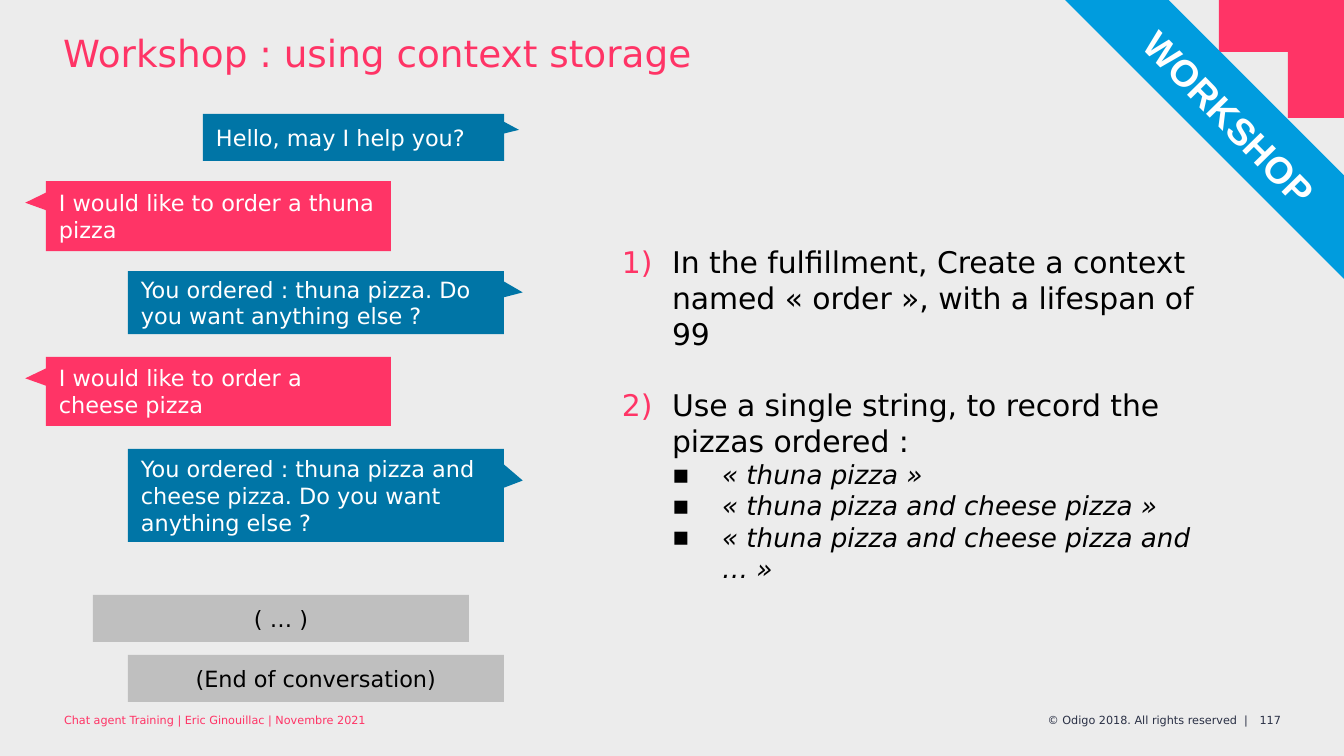
from lxml import etree
from pptx import Presentation
from pptx.dml.color import RGBColor
from pptx.enum.shapes import MSO_SHAPE
from pptx.enum.text import MSO_ANCHOR, MSO_AUTO_SIZE, PP_ALIGN
from pptx.oxml.ns import qn
from pptx.util import Pt

PINK = RGBColor(0xFF, 0x34, 0x66)
BLUE = RGBColor(0x00, 0x75, 0xA6)
SKY = RGBColor(0x00, 0x9C, 0xDE)
GREY = RGBColor(0xBF, 0xBF, 0xBF)
NAVY = RGBColor(0x2A, 0x30, 0x45)
PALE = RGBColor(0xEC, 0xEC, 0xEC)
BLACK = RGBColor(0, 0, 0)
WHITE = RGBColor(255, 255, 255)

RECTANGLE = MSO_SHAPE.RECTANGLE
CALLOUT = MSO_SHAPE.RECTANGULAR_CALLOUT
STRIPE = MSO_SHAPE.DIAGONAL_STRIPE
TOP, MIDDLE, BOTTOM = MSO_ANCHOR.TOP, MSO_ANCHOR.MIDDLE, MSO_ANCHOR.BOTTOM
LEFT, CENTER, RIGHT = PP_ALIGN.LEFT, PP_ALIGN.CENTER, PP_ALIGN.RIGHT
NO_AUTOFIT = MSO_AUTO_SIZE.NONE

FONT = "DejaVu Sans"
SLIDE_WIDTH, SLIDE_HEIGHT = 1344, 756
BOT_RIGHT, USER_LEFT, USER_WIDTH = 504, 46, 345
BOT_TAIL = (0.55, -0.16)
USER_TAIL = (-0.56, -0.19)
INDENT = 50

BOT_MESSAGES = [
    (114, 301, 47, "Hello, may I help you?"),
    (271, 376, 63, "You ordered : thuna pizza. Do you want anything else ?"),
    (449, 376, 93, "You ordered : thuna pizza and cheese pizza. Do you want anything else ?"),
]
USER_MESSAGES = [
    (181, 70, "I would like to order a thuna pizza"),
    (357, 69, "I would like to order a cheese pizza"),
]
NOTES = [(93, 595, "( … )"), (128, 655, "(End of conversation)")]
STEPS = [
    ("In the fulfillment, Create a context named «\u00a0order\u00a0», with a lifespan of 99", []),
    ("Use a single string, to record the pizzas ordered :", [
        "«\u00a0thuna\u00a0pizza »",
        "«\u00a0thuna pizza and cheese pizza\u00a0»",
        "«\u00a0thuna pizza and cheese pizza and …\u00a0»",
    ]),
]


def px(value):
    return round(value * 914400 / 134.4)


def add_run(paragraph, text, size, color, font=FONT, bold=False, italic=False):
    run = paragraph.add_run()
    run.text = text
    run.font.name = font
    run.font.size = Pt(size)
    run.font.bold = bold
    run.font.italic = italic
    run.font.color.rgb = color


def set_frame(frame, anchor, insets=(13, 7, 13, 7)):
    frame.word_wrap = True
    frame.auto_size = NO_AUTOFIT
    frame.vertical_anchor = anchor
    frame.margin_left, frame.margin_top, frame.margin_right, frame.margin_bottom = map(px, insets)


def add_text_box(slide, box, anchor, insets=(13, 7, 13, 7)):
    shape = slide.shapes.add_textbox(*map(px, box))
    set_frame(shape.text_frame, anchor, insets)
    return shape


def style_shape(shape, color):
    shape.shadow.inherit = False
    shape.fill.solid()
    shape.fill.fore_color.rgb = color
    shape.line.fill.background()


def add_label(slide, kind, box, fill, text, color, align=LEFT, tail=()):
    shape = slide.shapes.add_shape(kind, *map(px, box))
    style_shape(shape, fill)
    for index, value in enumerate(tail):
        shape.adjustments[index] = value
    set_frame(shape.text_frame, MIDDLE)
    paragraph = shape.text_frame.paragraphs[0]
    paragraph.alignment = align
    add_run(paragraph, text, 12, color)


def add_title(slide, text):
    title = slide.shapes.title
    title.left, title.top, title.width, title.height = map(px, (0, 8, 1025, 118))
    set_frame(title.text_frame, TOP, (63, 27, 5, 0))
    paragraph = title.text_frame.paragraphs[0]
    paragraph.alignment = LEFT
    paragraph.line_spacing = 0.9
    add_run(paragraph, text, 20, PINK)


def add_footers(slide):
    course = add_text_box(slide, (1, 695, 509, 59), BOTTOM, (63, 0, 0, 27))
    add_run(course.text_frame.paragraphs[0],
            "Chat agent Training | Eric Ginouillac | Novembre 2021", 6, PINK)
    rights = add_text_box(slide, (1025, 695, 319, 59), BOTTOM, (0, 0, 63, 27))
    paragraph = rights.text_frame.paragraphs[0]
    paragraph.alignment = RIGHT
    tabs = etree.SubElement(paragraph._p.get_or_add_pPr(), qn("a:tabLst"))
    etree.SubElement(tabs, qn("a:tab"), pos=str(px(212)), algn="l")
    add_run(paragraph, "© Odigo 2018. All rights reserved  |\t117", 6, NAVY)


def add_corner(slide):
    builder = slide.shapes.build_freeform(px(1219), 0)
    points = [(1219, 52), (1288, 52), (1288, 118), (1344, 118), (1344, 0)]
    builder.add_line_segments([(px(x), px(y)) for x, y in points], close=True)
    style_shape(builder.convert_to_shape(), PINK)


def add_ribbon(slide):
    stripe = slide.shapes.add_shape(STRIPE, *map(px, (1064, -1, 280, 280)))
    stripe.rotation = 90
    stripe.adjustments[0] = 0.63
    style_shape(stripe, SKY)
    label = add_text_box(slide, (1109, 77, 251, 71), TOP, (11, 11, 11, 11))
    label.rotation = 45.6
    paragraph = label.text_frame.paragraphs[0]
    paragraph.alignment = CENTER
    paragraph.line_spacing = 1.2
    paragraph.space_after = Pt(6)
    add_run(paragraph, "WORKSHOP", 20, WHITE, font="Arial", bold=True)


def set_bullet(paragraph, level, tag, **attributes):
    paragraph.level = level
    properties = paragraph._p.get_or_add_pPr()
    properties.set("marL", str(px(INDENT * (level + 1))))
    properties.set("indent", str(-px(INDENT)))
    if level == 0:
        color = etree.SubElement(properties, qn("a:buClr"))
        etree.SubElement(color, qn("a:srgbClr"), val=str(PINK))
    etree.SubElement(properties, qn("a:buFont"), typeface=FONT)
    etree.SubElement(properties, qn(tag), **attributes)


def add_steps(slide):
    frame = add_text_box(slide, (609, 237, 626, 394), TOP).text_frame
    for index, (step, examples) in enumerate(STEPS):
        paragraph = frame.add_paragraph() if index else frame.paragraphs[0]
        if index:
            paragraph.space_before = Pt(19)
        set_bullet(paragraph, 0, "a:buAutoNum", type="arabicParenR")
        add_run(paragraph, step, 16, BLACK)
        for example in examples:
            paragraph = frame.add_paragraph()
            set_bullet(paragraph, 1, "a:buChar", char="▪")
            add_run(paragraph, example, 14, BLACK, italic=True)


def add_conversation(slide):
    for top, width, height, text in BOT_MESSAGES:
        add_label(slide, CALLOUT, (BOT_RIGHT - width, top, width, height),
                  BLUE, text, WHITE, tail=BOT_TAIL)
    for top, height, text in USER_MESSAGES:
        add_label(slide, CALLOUT, (USER_LEFT, top, USER_WIDTH, height),
                  PINK, text, WHITE, tail=USER_TAIL)
    for left, top, text in NOTES:
        add_label(slide, RECTANGLE, (left, top, 376, 47), GREY, text, BLACK, CENTER)


def main():
    presentation = Presentation()
    presentation.slide_width = px(SLIDE_WIDTH)
    presentation.slide_height = px(SLIDE_HEIGHT)
    slide = presentation.slides.add_slide(presentation.slide_layouts[5])
    slide.background.fill.solid()
    slide.background.fill.fore_color.rgb = PALE
    add_footers(slide)
    add_corner(slide)
    add_title(slide, "Workshop : using context storage")
    add_steps(slide)
    add_ribbon(slide)
    add_conversation(slide)
    presentation.save("out.pptx")


if __name__ == "__main__":
    main()
